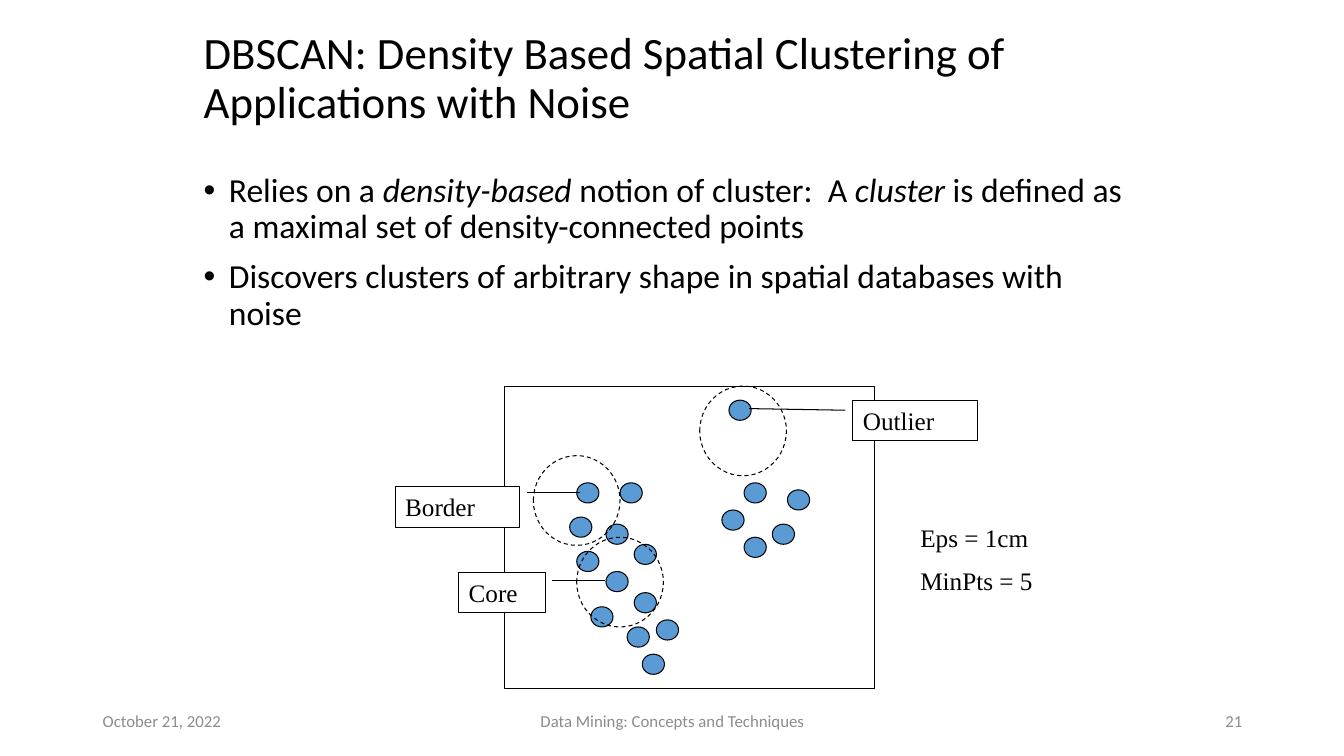
from pptx import Presentation
from pptx.dml.color import RGBColor
from pptx.enum.dml import MSO_LINE as DASH
from pptx.enum.shapes import MSO_SHAPE as SHAPE
from pptx.enum.text import MSO_ANCHOR as ANCHOR, MSO_AUTO_SIZE as FIT, PP_ALIGN as ALIGN
from pptx.oxml.ns import qn
from pptx.util import Inches, Pt
from lxml import etree

BLACK, WHITE, GREY, BLUE = "000000", "FFFFFF", "8C8C8C", "5B9BD5"
SANS, SERIF = "Calibri", "Times New Roman"


def rgb(value):
    return RGBColor.from_string(value)


class SlideBuilder:
    def __init__(self, prs):
        self.s = prs.slides.add_slide(prs.slide_layouts[1])

    def fill_text(self, tf, paragraphs, size, font=SANS, color=BLACK, **fmt):
        """Each paragraph is a list of (text, italic) runs."""
        for i, runs in enumerate(paragraphs):
            p = tf.paragraphs[0] if i == 0 else tf.add_paragraph()
            formats = {"alignment": ALIGN.LEFT, "space_before": Pt(0), **fmt}
            if i == 0:
                formats["space_before"] = Pt(0)
            for name, value in formats.items():
                setattr(p, name, value)
            for text, italic in runs:
                r = p.add_run()
                r.text = text
                for name, value in {"size": Pt(size), "name": font, "italic": italic}.items():
                    setattr(r.font, name, value)
                r.font.color.rgb = rgb(color)

    def frame(self, tf, anchor=ANCHOR.TOP, fit=FIT.NONE):
        for name, value in {"word_wrap": True, "vertical_anchor": anchor, "auto_size": fit}.items():
            setattr(tf, name, value)
        return tf

    def placeholder(self, index, box, anchor):
        sp = self.s.placeholders[index]
        for name, value in zip(("left", "top", "width", "height"), box):
            setattr(sp, name, Inches(value))
        return self.frame(sp.text_frame, anchor)

    def title(self, text, box):
        tf = self.placeholder(0, box, ANCHOR.MIDDLE)
        self.fill_text(tf, [[(text, False)]], 32, line_spacing=0.9)

    def bullets(self, paragraphs, box):
        tf = self.placeholder(1, box, ANCHOR.TOP)
        self.fill_text(tf, paragraphs, 24, line_spacing=0.9, space_before=Pt(10))
        for p in tf.paragraphs:
            pPr = p._p.get_or_add_pPr()
            pPr.set("marL", str(Inches(0.25)))
            pPr.set("indent", str(Inches(-0.25)))
            etree.SubElement(pPr, qn("a:buFont")).set("typeface", "Arial")
            etree.SubElement(pPr, qn("a:buChar")).set("char", "•")

    def text(self, lines, box, size, anchor=ANCHOR.TOP, **fmt):
        tf = self.s.shapes.add_textbox(*map(Inches, box)).text_frame
        self.fill_text(self.frame(tf, anchor), [[(line, False)] for line in lines], size, **fmt)

    def shape(self, kind, box, fill=None, dash=None):
        sp = self.s.shapes.add_shape(kind, *map(Inches, box))
        sp.shadow.inherit = False
        if fill:
            sp.fill.solid()
            sp.fill.fore_color.rgb = rgb(fill)
        else:
            sp.fill.background()
        sp.line.color.rgb = rgb(BLACK)
        sp.line.width = Pt(0.75)
        if dash:
            sp.line.dash_style = dash
        return sp

    def callout(self, label, box, pointer):
        sp = self.shape(SHAPE.LINE_CALLOUT_1, box, WHITE)
        for i, value in enumerate(pointer):
            sp.adjustments[i] = value
        tf = self.frame(sp.text_frame, fit=FIT.SHAPE_TO_FIT_TEXT)
        self.fill_text(tf, [[(label, False)]], 18, SERIF)


def main():
    prs = Presentation()
    prs.slide_width, prs.slide_height = Inches(13.33), Inches(7.5)
    b = SlideBuilder(prs)

    # Footer
    for text, left, width, align in [
        ("October 21, 2022", 0.92, 3, ALIGN.LEFT),
        ("Data Mining: Concepts and Techniques", 4.42, 4.5, ALIGN.CENTER),
        ("21", 9.42, 3, ALIGN.RIGHT),
    ]:
        b.text([text], (left, 6.95, width, 0.4), 12, ANCHOR.MIDDLE, color=GREY, alignment=align)

    # Title and list
    b.title("DBSCAN: Density Based Spatial Clustering of Applications with Noise",
            (1.92, 0.25, 9.33, 1.08))
    b.bullets([
        [("Relies on a ", False), ("density-based", True), (" notion of cluster:  A ", False),
         ("cluster", True), (" is defined as a maximal set of density-connected points", False)],
        [("Discovers clusters of arbitrary shape in spatial databases with noise", False)],
    ], (1.92, 1.67, 9.33, 5.5))

    # Data points: left cluster, right cluster, outlier
    left_cluster = [(5.72, 4.79), (5.65, 5.13), (6.01, 5.2), (6.15, 4.79), (6.29, 5.4),
                    (5.72, 5.47), (6.01, 5.67), (5.86, 6.02), (6.22, 6.22), (6.37, 6.49),
                    (6.29, 5.88), (6.51, 6.15)]
    right_cluster = [(7.38, 4.79), (7.16, 5.06), (7.66, 5.2), (7.81, 4.86), (7.38, 5.33)]
    outlier = (7.23, 3.97)
    for x, y in left_cluster + right_cluster + [outlier]:
        b.shape(SHAPE.OVAL, (x, y, 0.22, 0.2), BLUE)

    # Plot frame and Eps neighbourhoods
    b.shape(SHAPE.RECTANGLE, (5, 3.83, 3.67, 3))
    for x, y in [(5.29, 4.52), (5.72, 5.33), (6.94, 3.83)]:
        b.shape(SHAPE.OVAL, (x, y, 0.86, 0.89), dash=DASH.DASH)

    # Point type labels and parameters
    b.callout("Core", (4.55, 5.68, 0.86, 0.4), (0.19, 1.08, 0.19, 1.69))
    b.callout("Border", (3.92, 4.83, 1.23, 0.4), (0.15, 1.06, 0.15, 1.49))
    b.callout("Outlier", (8.46, 3.97, 1.24, 0.4), (0.25, -0.06, 0.21, -0.83))
    b.text(["Eps = 1cm", "MinPts = 5"], (9.03, 5.13, 1.8, 0.86), 18,
           font=SERIF, space_before=Pt(9))

    prs.save("out.pptx")


if __name__ == "__main__":
    main()
